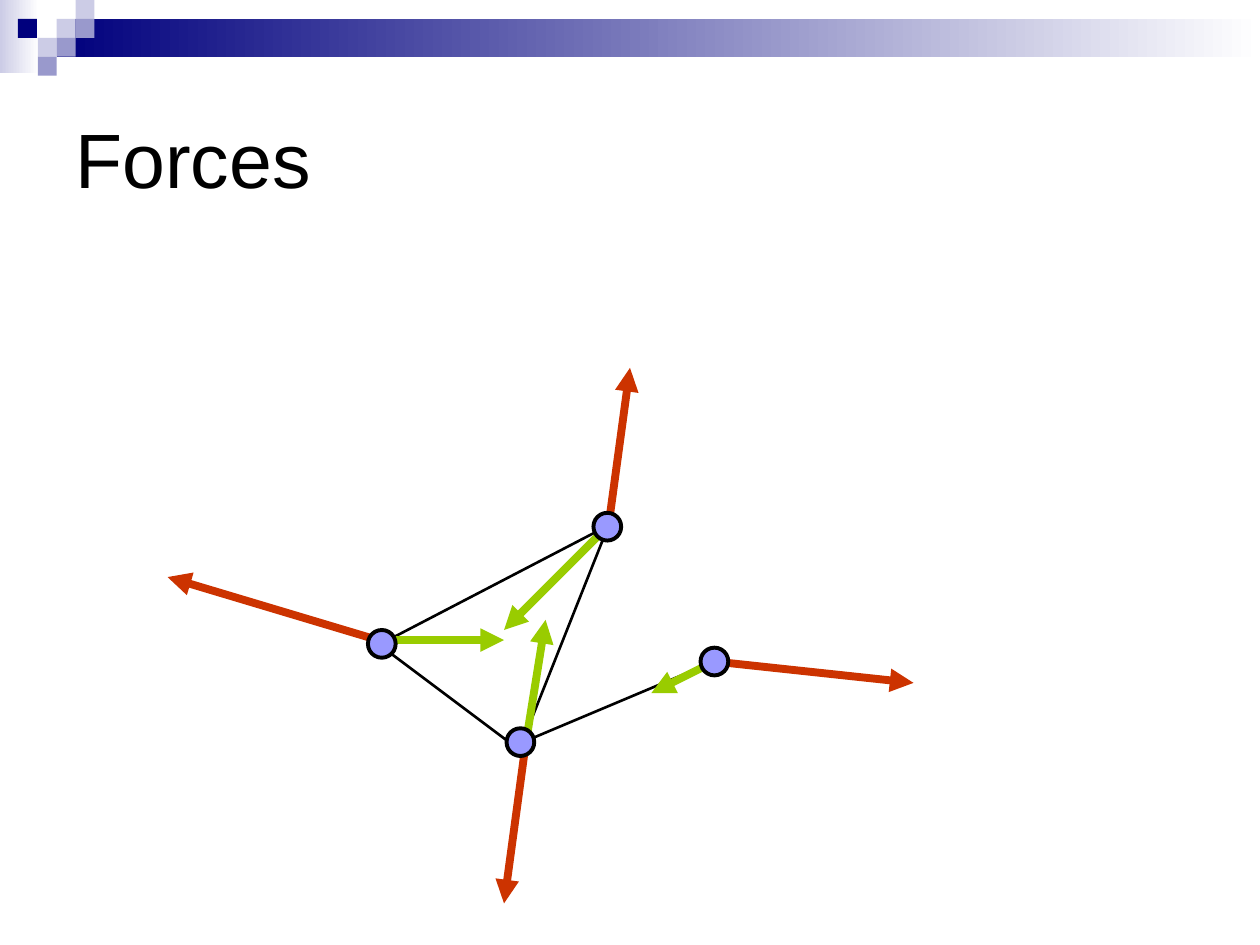
"""Build the Forces slide: a small graph with repulsive and attractive arrows."""
from lxml import etree
from pptx import Presentation
from pptx.dml.color import RGBColor
from pptx.enum.shapes import MSO_CONNECTOR, MSO_SHAPE
from pptx.enum.text import MSO_ANCHOR
from pptx.oxml.ns import qn
from pptx.util import Inches, Pt

STRAIGHT = MSO_CONNECTOR.STRAIGHT
RECTANGLE = MSO_SHAPE.RECTANGLE
OVAL = MSO_SHAPE.OVAL
MIDDLE = MSO_ANCHOR.MIDDLE

BLACK, WHITE, NAVY = "000000", "FFFFFF", "00007D"
LAVENDER, PERIWINKLE = "CCCCE6", "9999CC"
RED, GREEN, NODE_BLUE = "CC3300", "99CC00", "9999FF"


def color(value):
    return RGBColor.from_string(value)


def add_text(slide, text, left, top, width, height, size, font, fill):
    box = slide.shapes.add_textbox(Inches(left), Inches(top), Inches(width), Inches(height))
    frame = box.text_frame
    frame.word_wrap = True
    frame.vertical_anchor = MIDDLE
    span = frame.paragraphs[0].add_run()
    span.text = text
    span.font.size = Pt(size)
    span.font.name = font
    span.font.color.rgb = color(fill)


deck = Presentation()
deck.slide_width, deck.slide_height = Inches(10), Inches(7.5)
page = deck.slides.add_slide(deck.slide_layouts[6])

bands = [
    (0, 0, 0.31, 0.58, LAVENDER),
    (0.45, 0.15, 9.55, 0.3, NAVY),
]
for left, top, width, height, start in bands:
    band = page.shapes.add_shape(RECTANGLE, Inches(left), Inches(top), Inches(width), Inches(height))
    band.shadow.inherit = False
    band.line.fill.background()
    band.fill.gradient()
    band.fill.gradient_angle = 0
    for stop, shade in zip(band.fill.gradient_stops, (start, WHITE)):
        stop.color.rgb = color(shade)

tile = 0.15
tiles = [
    (3, 1, LAVENDER), (4, 0, LAVENDER), (4, 1, PERIWINKLE), (2, 2, LAVENDER),
    (0.95, 1, NAVY), (3, 2, PERIWINKLE), (2, 3, PERIWINKLE),
]
for column, row, fill in tiles:
    square = page.shapes.add_shape(
        RECTANGLE, Inches(column * tile), Inches(row * tile), Inches(tile), Inches(tile))
    square.shadow.inherit = False
    square.line.fill.background()
    square.fill.solid()
    square.fill.fore_color.rgb = color(fill)

add_text(page, "Forces", left=0.5, top=0.5, width=9, height=1.5, size=44, font="Arial", fill=BLACK)

edges = [
    ((4.17, 5.83), (4.83, 4.17)),
    ((4.83, 4.17), (3.08, 5.08)),
    ((3.08, 5.17), (4.08, 5.92)),
    ((4.08, 5.92), (5.67, 5.25)),
]
repulsions = [
    ((3, 5.08), (1.33, 4.58)),
    ((4.83, 4.17), (5, 2.92)),
    ((4.17, 5.92), (4, 7.17)),
    ((5.67, 5.25), (7.25, 5.42)),
]
attractions = [
    ((3, 5.08), (4, 5.08)),
    ((4.83, 4.17), (4, 5)),
    ((4.17, 5.92), (4.33, 4.92)),
    ((5.67, 5.25), (5.17, 5.5)),
]
groups = [
    (edges, BLACK, 1.5, False),
    (repulsions, RED, 4.5, True),
    (attractions, GREEN, 4.5, True),
]
for segments, stroke, weight, has_arrow in groups:
    for start, end in segments:
        line = page.shapes.add_connector(STRAIGHT, *map(Inches, start + end))
        line.line.color.rgb = color(stroke)
        line.line.width = Pt(weight)
        if has_arrow:
            etree.SubElement(line.line._get_or_add_ln(), qn("a:tailEnd"), type="triangle")
        etree.SubElement(line._element.spPr, qn("a:effectLst"))

diameter = 0.22
for left, top in [(4.02, 5.78), (5.56, 5.14), (4.71, 4.07), (2.92, 5)]:
    node = page.shapes.add_shape(OVAL, Inches(left), Inches(top), Inches(diameter), Inches(diameter))
    node.shadow.inherit = False
    node.fill.solid()
    node.fill.fore_color.rgb = color(NODE_BLUE)
    node.line.color.rgb = color(BLACK)
    node.line.width = Pt(2.25)

deck.save("out.pptx")
